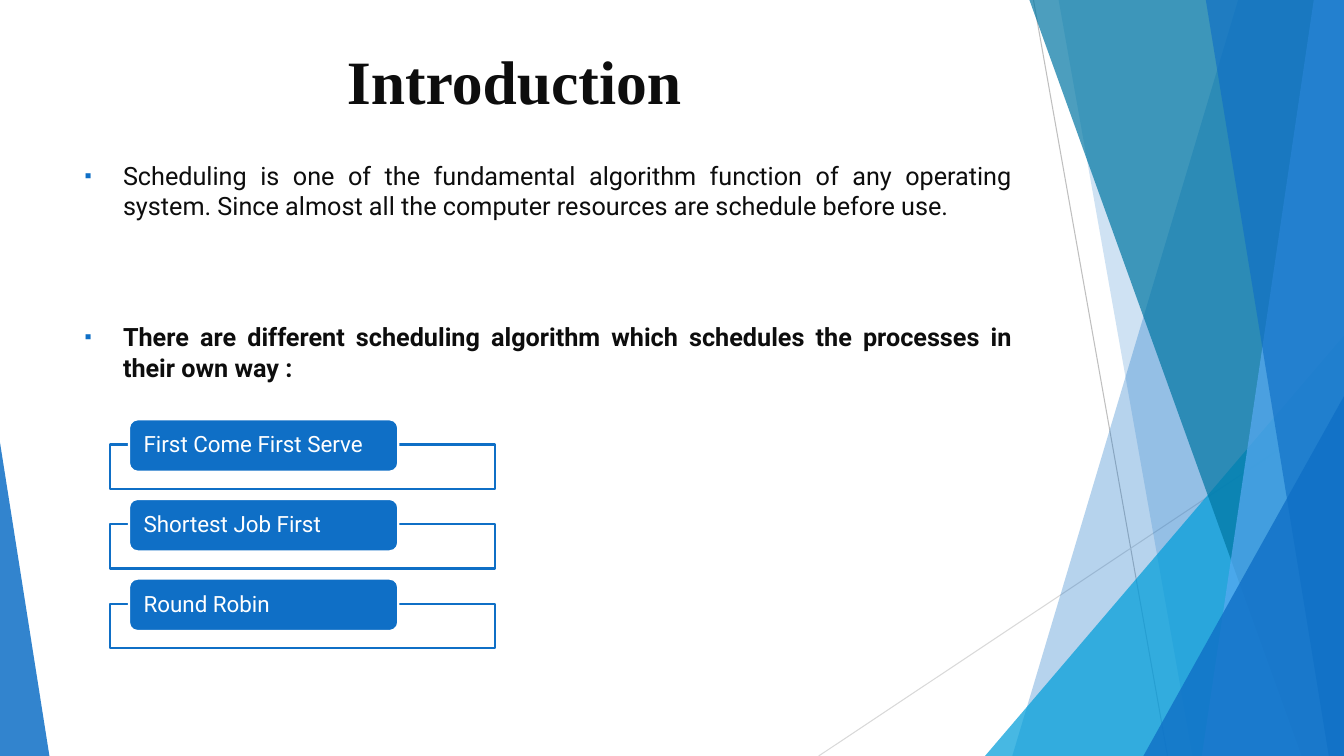
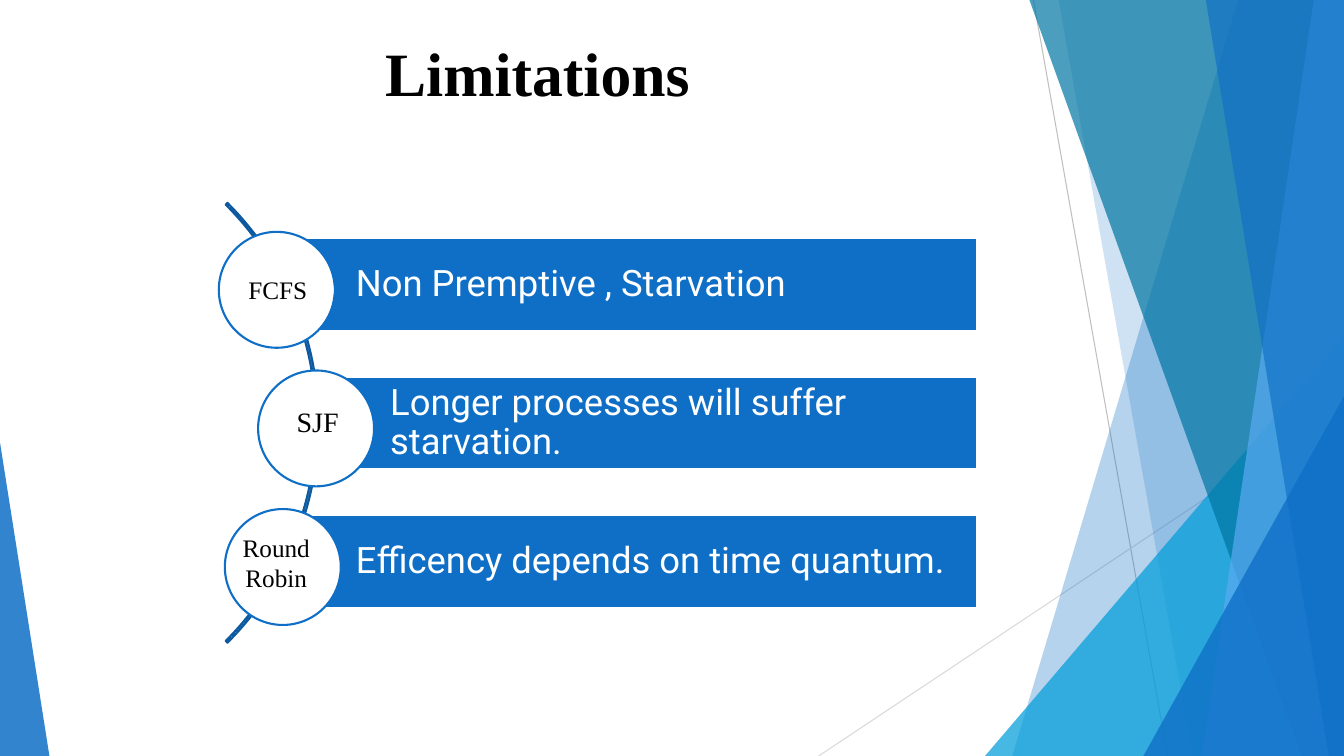
import lxml.etree
import pptx
import pptx.dml.color
import pptx.enum.shapes
import pptx.enum.text
import pptx.oxml.ns
import pptx.util

COLUMNS, ROWS = 13.33, 7.5
CELL = pptx.util.Inches(1)
SANS, SERIF = "Roboto", "Times New Roman"
COLORS = {
    "blue": "0F6FC6",
    "cyan": "009DD9",
    "teal": "0076A3",
    "sky": "59AAF2",
    "navy": "0C599F",
    "white": "FFFFFF",
    "black": "000000",
    "ink": "0D0D0D",
    "gray": "BFBFBF",
    "silver": "D9D9D9",
}
SHAPE = pptx.enum.shapes.MSO_SHAPE
ALIGN = pptx.enum.text.PP_ALIGN
ANCHOR = pptx.enum.text.MSO_ANCHOR
qn = pptx.oxml.ns.qn


def cells(*counts):
    return [pptx.util.Emu(round(count * CELL)) for count in counts]


def rgb(name):
    return pptx.dml.color.RGBColor.from_string(COLORS[name])


def paint(shape, fill=None, opacity=100, line=None):
    shape.shadow.inherit = False
    if fill:
        shape.fill.solid()
        shape.fill.fore_color.rgb = rgb(fill)
        if opacity < 100:
            color = shape.element.spPr.find(qn("a:solidFill"))[0]
            lxml.etree.SubElement(color, qn("a:alpha"), val=str(opacity * 1000))
    else:
        shape.fill.background()
    if line:
        shape.line.color.rgb = rgb(line)
        shape.line.width = pptx.util.Pt(1.5)
    else:
        shape.line.fill.background()


def add_box(shapes, kind, area, **look):
    shape = shapes.add_shape(kind, *cells(*area))
    paint(shape, **look)
    return shape


def add_hairline(shapes, start, end, color):
    line = shapes.add_connector(
        pptx.enum.shapes.MSO_CONNECTOR.STRAIGHT, *cells(*start, *end))
    line.line.color.rgb = rgb(color)
    line.line.width = pptx.util.Pt(0.75)
    lxml.etree.SubElement(line.element.spPr, qn("a:effectLst"))


def add_facet(shapes, top, bottom, color, opacity):
    builder = shapes.build_freeform(*cells(top, 0))
    corners = [(COLUMNS, 0), (COLUMNS, ROWS), (bottom, ROWS)]
    builder.add_line_segments([cells(*corner) for corner in corners], close=True)
    paint(builder.convert_to_shape(), color, opacity)


def add_wedge(shapes, left, top, width, apex, color, opacity):
    wedge = add_box(shapes, SHAPE.ISOSCELES_TRIANGLE,
                    (left, top, width, ROWS - top), fill=color, opacity=opacity)
    wedge.adjustments[0] = apex


def decorate_master(presentation, slide):
    group = slide.shapes.add_group_shape()
    shapes = group.shapes
    add_hairline(shapes, (10.25, 0), (11.58, ROWS), "gray")
    add_hairline(shapes, (COLUMNS, 4.03), (8.12, ROWS), "silver")
    add_facet(shapes, 12.28, 10.04, "blue", 30)
    add_facet(shapes, 10.5, 11.83, "blue", 20)
    add_wedge(shapes, 9.77, 3.33, 3.56, 1, "cyan", 72)
    add_facet(shapes, 10.21, 12.91, "teal", 70)
    add_facet(shapes, 13.03, 11.92, "sky", 70)
    add_facet(shapes, 11.96, 13.18, "blue", 65)
    add_wedge(shapes, 11.34, 3.93, 1.99, 1, "blue", 80)
    add_wedge(shapes, 0, 4.39, 0.49, 0, "blue", 85)
    for number, properties in enumerate(group.element.iter(qn("p:cNvPr")), 100):
        properties.set("id", str(number))
    presentation.slide_master.shapes.element.insert(2, group.element)


def place(shape, area):
    shape.left, shape.top, shape.width, shape.height = cells(*area)


def style_font(paragraph, name, size, color, bold=False):
    font = paragraph.font
    font.name, font.size, font.bold = name, pptx.util.Pt(size), bold
    font.color.rgb = rgb(color)


def set_margins(frame, left, top, right, bottom):
    (frame.margin_left, frame.margin_top,
     frame.margin_right, frame.margin_bottom) = cells(left, top, right, bottom)


def write(shape, text, name, size, color, margins, align=ALIGN.LEFT, spacing=None):
    frame = shape.text_frame
    frame.word_wrap = True
    frame.vertical_anchor = ANCHOR.MIDDLE
    set_margins(frame, *margins)
    frame.text = text
    paragraph = frame.paragraphs[0]
    paragraph.alignment = align
    paragraph.line_spacing = spacing
    style_font(paragraph, name, size, color)


def set_title(slide, text, area, indent, color):
    title = slide.shapes.title
    place(title, area)
    frame = title.text_frame
    frame.text = text
    frame.auto_size = pptx.enum.text.MSO_AUTO_SIZE.NONE
    frame.vertical_anchor = ANCHOR.TOP
    set_margins(frame, indent, 0.14, 0.1, 0.05)
    frame.paragraphs[0].alignment = ALIGN.LEFT
    style_font(frame.paragraphs[0], SERIF, 44, color, bold=True)


def add_bullet(paragraph):
    properties = paragraph._p.get_or_add_pPr()
    indent = cells(0.38)[0]
    properties.set("marL", str(indent))
    properties.set("indent", str(-indent))
    color = lxml.etree.SubElement(properties, qn("a:buClr"))
    lxml.etree.SubElement(color, qn("a:srgbClr"), val=COLORS["blue"])
    lxml.etree.SubElement(properties, qn("a:buSzPct"), val="80000")
    lxml.etree.SubElement(properties, qn("a:buFont"), typeface="Arial")
    lxml.etree.SubElement(properties, qn("a:buChar"), char="▪")


def set_body(slide, area, items):
    body = slide.placeholders[1]
    place(body, area)
    frame = body.text_frame
    frame.text = "\n".join(text for text, _, _ in items)
    frame.auto_size = pptx.enum.text.MSO_AUTO_SIZE.NONE
    for paragraph, (_, before, bold) in zip(frame.paragraphs, items):
        paragraph.alignment = ALIGN.JUSTIFY
        paragraph.space_before = pptx.util.Pt(before)
        style_font(paragraph, SANS, 18, "ink", bold)
        add_bullet(paragraph)


def add_algorithm(slide, text, top):
    add_box(slide.shapes, SHAPE.RECTANGLE, (1.09, top + 0.25, 3.82, 0.44),
            fill="white", opacity=90, line="blue")
    tab = add_box(slide.shapes, SHAPE.ROUNDED_RECTANGLE, (1.28, top, 2.67, 0.52),
                  fill="blue", line="white")
    write(tab, text, SANS, 16, "white", (0.12, 0, 0.12, 0), spacing=0.9)


def add_limitation(slide, text, bar_left, circle_left, row):
    middle = 2.82 + 1.375 * row
    bar = add_box(slide.shapes, SHAPE.RECTANGLE,
                  (bar_left, middle - 0.46, 9.69 - bar_left, 0.92),
                  fill="blue", line="white")
    write(bar, text, SANS, 26, "white", (0.73, 0.07, 0.07, 0.07), spacing=0.9)
    add_box(slide.shapes, SHAPE.OVAL, (circle_left, middle - 0.52, 1.15, 1.15),
            fill="white", line="blue")


def add_label(shape, text, size):
    write(shape, text, SERIF, size, "black", (0, 0, 0, 0), ALIGN.CENTER)


def build_introduction(slide):
    set_title(slide, "Introduction", (0.74, 0.29, 9.4, 1.12), 2.7, "ink")
    set_body(slide, (0.74, 1.54, 9.4, 5.51), [
        ("Scheduling is one of the fundamental algorithm function of any operating "
         "system. Since almost all the computer resources are schedule before use.",
         10, False),
        ("There are different scheduling algorithm which schedules the processes "
         "in their own way :", 72, True),
    ])
    algorithms = ["First Come First Serve", "Shortest Job First", "Round Robin"]
    for row, text in enumerate(algorithms):
        add_algorithm(slide, text, 4.16 + 0.79 * row)


def build_limitations(slide):
    set_title(slide, "Limitations", (0.87, 0.21, 9.4, 1.44), 2.95, "black")
    arc = add_box(slide.shapes, SHAPE.BLOCK_ARC, (-3.01, 1.11, 6.17, 6.17), line="navy")
    for index, value in enumerate([189, 27, 0.004]):
        arc.adjustments[index] = value
    limitations = [
        ("Non Premptive , Starvation", 2.8, 2.17),
        ("Longer processes will suffer starvation.", 3.14, 2.56),
        ("Efficency depends on time quantum.", 2.8, 2.23),
    ]
    for row, limitation in enumerate(limitations):
        add_limitation(slide, *limitation, row)
    first = add_box(slide.shapes, SHAPE.OVAL, (2.2, 2.55, 1.11, 0.65), fill="white")
    add_label(first, "FCFS", 18)
    for text, size, area in [("SJF", 20, (2.73, 3.93, 0.84, 0.5)),
                             ("Round Robin", 18, (2.29, 5.16, 0.9, 0.84))]:
        add_label(slide.shapes.add_textbox(*cells(*area)), text, size)


def main():
    presentation = pptx.Presentation()
    presentation.slide_width, presentation.slide_height = cells(COLUMNS, ROWS)
    layouts = presentation.slide_layouts
    introduction = presentation.slides.add_slide(layouts.get_by_name("Title and Content"))
    limitations = presentation.slides.add_slide(layouts.get_by_name("Title Only"))
    decorate_master(presentation, introduction)
    build_introduction(introduction)
    build_limitations(limitations)
    presentation.save("out.pptx")


main()
